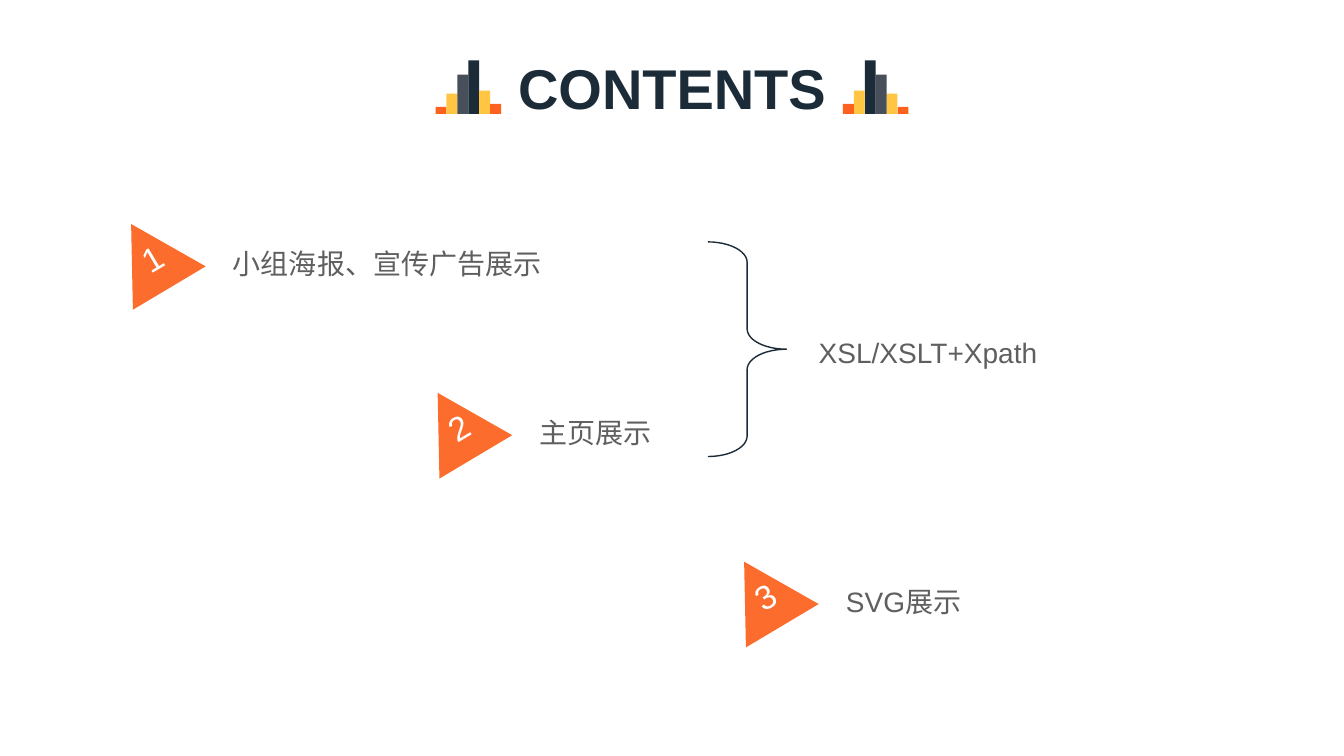
"""Build the contents slide: a title between skyline bars, three items and a brace."""
from dataclasses import dataclass

from pptx import Presentation
from pptx.dml.color import RGBColor
from pptx.enum.shapes import MSO_SHAPE
from pptx.enum.text import MSO_ANCHOR, MSO_AUTO_SIZE, PP_ALIGN
from pptx.shapes.base import BaseShape
from pptx.shapes.group import GroupShape
from pptx.slide import Slide
from pptx.text.text import TextFrame
from pptx.util import Inches, Length, Pt

RECTANGLE = MSO_SHAPE.RECTANGLE
RIGHT_BRACE = MSO_SHAPE.RIGHT_BRACE
MIDDLE = MSO_ANCHOR.MIDDLE
NO_AUTOFIT = MSO_AUTO_SIZE.NONE
LEFT = PP_ALIGN.LEFT
CENTER = PP_ALIGN.CENTER
TITLE_ONLY_LAYOUT = 5


@dataclass(frozen=True)
class Theme:
    """Colours, font and type sizes of the slide."""
    navy: RGBColor = RGBColor(0x1C, 0x2B, 0x38)
    slate: RGBColor = RGBColor(0x46, 0x4F, 0x5A)
    yellow: RGBColor = RGBColor(0xFF, 0xC5, 0x43)
    orange: RGBColor = RGBColor(0xFC, 0x61, 0x1F)
    marker: RGBColor = RGBColor(0xFC, 0x6C, 0x2C)
    body: RGBColor = RGBColor(0x5F, 0x5F, 0x5F)
    white: RGBColor = RGBColor(0xFF, 0xFF, 0xFF)
    font: str = "Arial"
    title_size: Length = Pt(40)
    number_size: Length = Pt(24)
    body_size: Length = Pt(20)


@dataclass(frozen=True)
class Bar:
    """One bar of the skyline beside the title."""
    height: Length
    color: RGBColor


THEME = Theme()

SLIDE_WIDTH, SLIDE_HEIGHT = Inches(13.33), Inches(7.5)

BARS = (
    Bar(Inches(0.07), THEME.orange),
    Bar(Inches(0.2), THEME.yellow),
    Bar(Inches(0.39), THEME.slate),
    Bar(Inches(0.53), THEME.navy),
    Bar(Inches(0.23), THEME.yellow),
    Bar(Inches(0.1), THEME.orange),
)
SKYLINE_LEFT, SKYLINE_BASE = Inches(4.32), Inches(1.13)
BAR_WIDTH = Inches(0.65) // len(BARS)

ITEMS = ("小组海报、宣传广告展示", "主页展示", "SVG展示")
FIRST_LEFT, FIRST_TOP = Inches(1.07), Inches(2.17)
STEP_X, STEP_Y = Inches(3.04), Inches(3.35) // 2
MARKER_WIDTH, MARKER_HEIGHT = Inches(0.84), Inches(0.74)
MARKER_ROTATION = 329.2
LABEL_DX, LABEL_DY = Inches(1.24), Inches(0.02)
LABEL_WIDTH, LABEL_HEIGHT = Inches(3.88), Inches(0.85)


def write_text(frame: TextFrame, text: str, size: Length, color: RGBColor,
               align: PP_ALIGN = LEFT, bold: bool = False) -> None:
    """Write one formatted run, centred vertically in its frame."""
    frame.word_wrap = True
    frame.auto_size = NO_AUTOFIT
    frame.vertical_anchor = MIDDLE
    paragraph = frame.paragraphs[0]
    paragraph.alignment = align
    run = paragraph.add_run()
    run.text = text
    run.font.name = THEME.font
    run.font.size = size
    run.font.bold = bold
    run.font.color.rgb = color


def set_insets(frame: TextFrame, top: Length = Inches(0)) -> None:
    """Remove the insets of a frame, except a given top one."""
    frame.margin_left = frame.margin_right = frame.margin_bottom = 0
    frame.margin_top = top


def paint(shape: BaseShape, color: RGBColor) -> None:
    """Give a shape a plain fill without line or shadow."""
    shape.shadow.inherit = False
    shape.fill.solid()
    shape.fill.fore_color.rgb = color
    shape.line.fill.background()


def add_title(slide: Slide) -> None:
    """Place and format the title placeholder."""
    title = slide.shapes.title
    title.left, title.top = Inches(4.96), Inches(0.32)
    title.width, title.height = Inches(3.41), Inches(1.08)
    write_text(title.text_frame, "CONTENTS", THEME.title_size, THEME.navy, CENTER, True)


def add_skyline(slide: Slide, mirrored: bool) -> None:
    """Draw the bars left of the title, or mirrored on its right."""
    group = slide.shapes.add_group_shape()
    for index, bar in enumerate(BARS):
        left = SKYLINE_LEFT + index * BAR_WIDTH
        if mirrored:
            left = SLIDE_WIDTH - left - BAR_WIDTH
        shape = group.shapes.add_shape(
            RECTANGLE, left, SKYLINE_BASE - bar.height, BAR_WIDTH, bar.height)
        paint(shape, bar.color)


def add_label(parent: Slide | GroupShape, text: str, left: Length, top: Length) -> None:
    """Add a body label to a slide or a group."""
    label = parent.shapes.add_textbox(left, top, LABEL_WIDTH, LABEL_HEIGHT)
    set_insets(label.text_frame)
    write_text(label.text_frame, text, THEME.body_size, THEME.body)


def add_item(slide: Slide, index: int, text: str) -> None:
    """Add a numbered triangle and its label, one step along the diagonal."""
    left, top = FIRST_LEFT + index * STEP_X, FIRST_TOP + index * STEP_Y
    group = slide.shapes.add_group_shape()
    add_label(group, text, left + LABEL_DX, top + LABEL_DY)
    builder = group.shapes.build_freeform(left + MARKER_WIDTH // 2, top)
    base = top + MARKER_HEIGHT
    builder.add_line_segments([(left + MARKER_WIDTH, base), (left, base)], close=True)
    marker = builder.convert_to_shape()
    marker.rotation = MARKER_ROTATION
    paint(marker, THEME.marker)
    set_insets(marker.text_frame, Inches(0.06))
    write_text(marker.text_frame, str(index + 1), THEME.number_size, THEME.white, CENTER)


def add_brace(slide: Slide) -> None:
    """Draw the brace that joins the first two items."""
    brace = slide.shapes.add_shape(
        RIGHT_BRACE, Inches(7.02), Inches(2.4), Inches(0.78), Inches(2.13))
    brace.adjustments[0] = 0.26
    brace.shadow.inherit = False
    brace.fill.background()
    brace.line.color.rgb = THEME.navy
    brace.line.width = Pt(1)


def main() -> None:
    """Build and save the presentation."""
    presentation = Presentation()
    presentation.slide_width, presentation.slide_height = SLIDE_WIDTH, SLIDE_HEIGHT
    slide = presentation.slides.add_slide(presentation.slide_layouts[TITLE_ONLY_LAYOUT])
    add_title(slide)
    for mirrored in (False, True):
        add_skyline(slide, mirrored)
    for index, text in enumerate(ITEMS):
        add_item(slide, index, text)
    add_brace(slide)
    add_label(slide, "XSL/XSLT+Xpath", Inches(8.12), Inches(3.07))
    presentation.save("out.pptx")


main()
